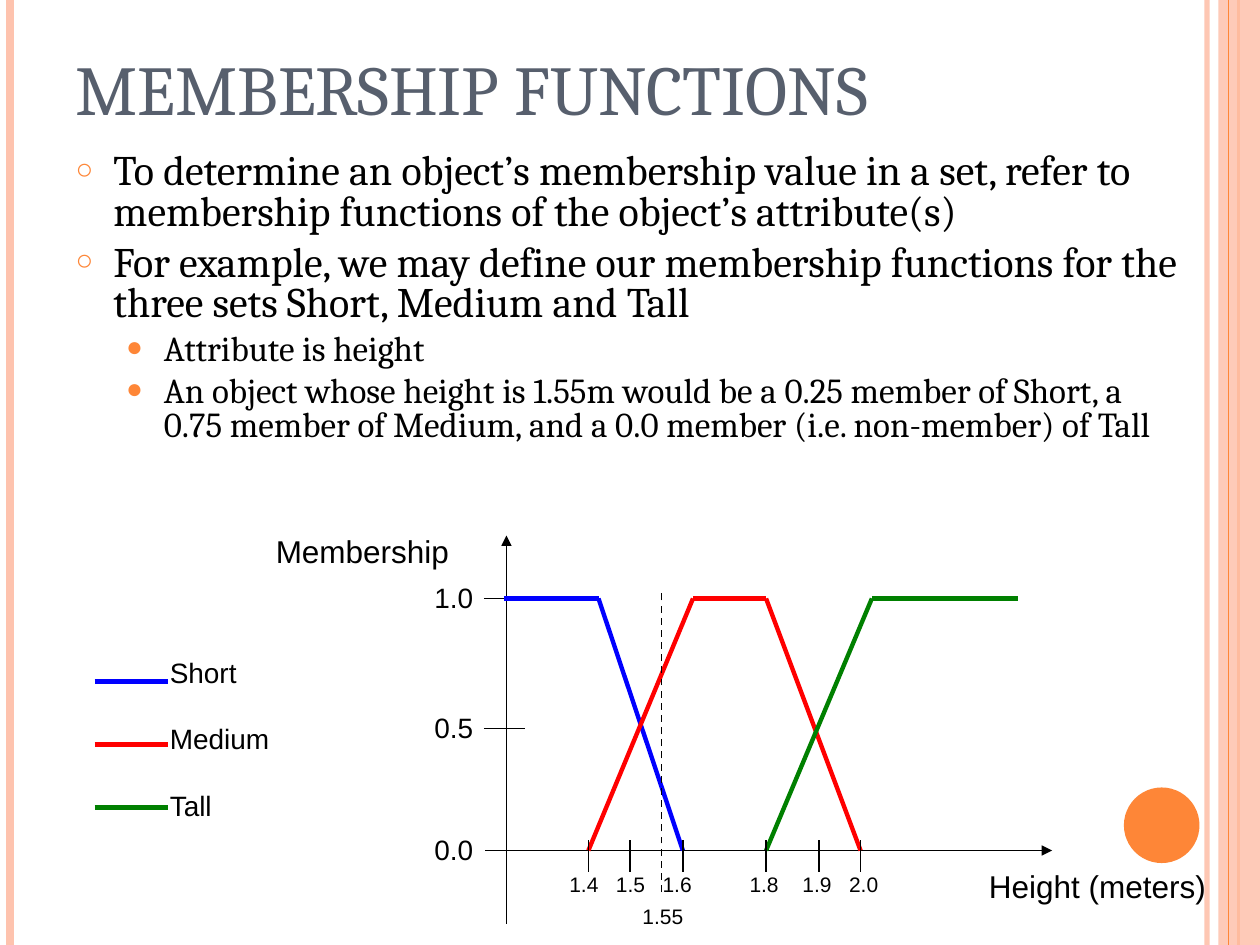
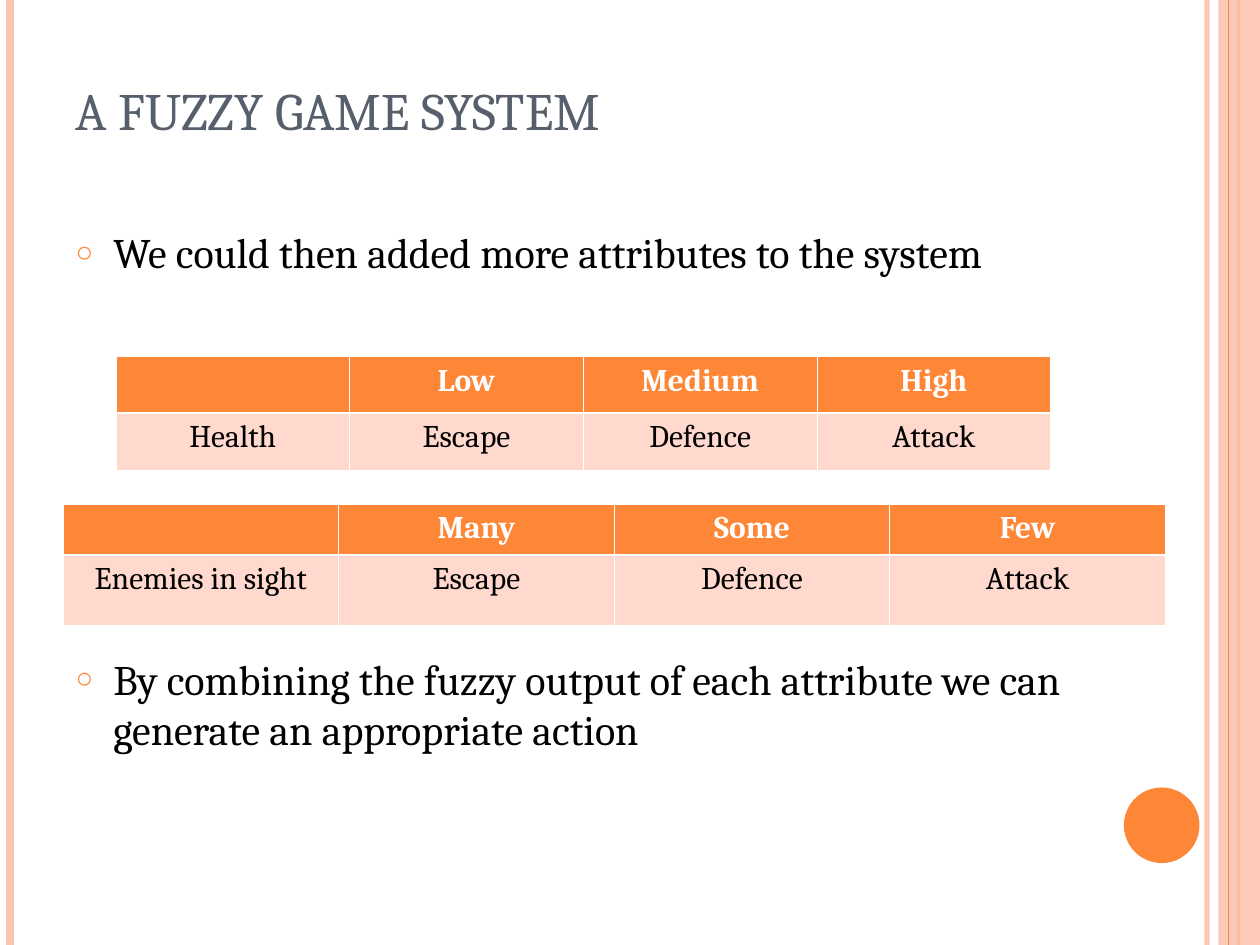
from dataclasses import dataclass
from itertools import pairwise

from lxml.etree import SubElement
from pptx import Presentation
from pptx.dml.color import RGBColor
from pptx.enum.dml import MSO_LINE
from pptx.enum.shapes import MSO_CONNECTOR, MSO_SHAPE
from pptx.enum.text import MSO_ANCHOR, MSO_AUTO_SIZE, PP_ALIGN
from pptx.oxml.ns import qn
from pptx.util import Inches, Pt

COLORS = {
    "title": "575F6D", "text": "000000", "white": "FFFFFF",
    "orange": "FE8637", "peach": "FEC3AE", "pale": "FFD9CE",
    "short": "0000FF", "medium": "FF0000", "tall": "008000",
}
SERIF, SANS = "Cambria", "Arial"
Point = tuple[float, float]


@dataclass(frozen=True)
class Stroke:
    """A straight line: ends in inches, width in points."""
    start: Point
    end: Point
    color: str = "text"
    width: float = 0.75
    arrow: bool = False
    dashed: bool = False
    opacity: int = 100


@dataclass(frozen=True)
class Label:
    """Chart text in a box: inches, size in points."""
    text: str
    left: float
    top: float
    width: float
    height: float = 0.37
    size: int = 16


@dataclass(frozen=True)
class Bullet:
    """A list item; sizes and gaps in points."""
    text: str
    level: int = 0
    gap: float = 6
    spacing: float | None = None


@dataclass(frozen=True)
class RuleTable:
    """A header row and one row of actions."""
    left: float
    top: float
    width: float
    row_heights: tuple[float, float]
    rows: tuple[tuple[str, ...], tuple[str, ...]]


# --- Drawing helpers ---
def rgb(name: str) -> RGBColor:
    return RGBColor.from_string(COLORS[name])


def add_run(paragraph, text: str, size: float, font: str, color: str = "text",
            bold: bool = False) -> None:
    run = paragraph.add_run()
    run.text = text
    run.font.size, run.font.name, run.font.bold = Pt(size), font, bold
    run.font.color.rgb = rgb(color)


def set_opacity(element, percent: int) -> None:
    for color in element.iter(qn("a:srgbClr")):
        SubElement(color, qn("a:alpha"), val=str(percent * 1000))


def place(shape, left: float, top: float, width: float, height: float) -> None:
    shape.left, shape.top = Inches(left), Inches(top)
    shape.width, shape.height = Inches(width), Inches(height)


def draw_stroke(slide, stroke: Stroke):
    ends = [Inches(v) for v in (*stroke.start, *stroke.end)]
    connector = slide.shapes.add_connector(MSO_CONNECTOR.STRAIGHT, *ends)
    connector.line.color.rgb = rgb(stroke.color)
    connector.line.width = Pt(stroke.width)
    if stroke.dashed:
        connector.line.dash_style = MSO_LINE.DASH
    properties = connector.element.find(qn("p:spPr"))
    if stroke.opacity < 100:
        set_opacity(properties, stroke.opacity)
    if stroke.arrow:
        SubElement(properties.find(qn("a:ln")), qn("a:tailEnd"), type="triangle")
    SubElement(properties, qn("a:effectLst"))
    return connector


def draw_solid(slide, preset, box: tuple[float, ...], color: str, opacity: int = 100):
    shape = slide.shapes.add_shape(preset, *(Inches(v) for v in box))
    shape.shadow.inherit = False
    shape.fill.solid()
    shape.fill.fore_color.rgb = rgb(color)
    shape.line.fill.background()
    if opacity < 100:
        set_opacity(shape.element.find(qn("p:spPr")), opacity)
    return shape


def draw_label(slide, label: Label):
    box = slide.shapes.add_textbox(Inches(label.left), Inches(label.top),
                                   Inches(label.width), Inches(label.height))
    box.text_frame.word_wrap = True
    add_run(box.text_frame.paragraphs[0], label.text, label.size, SANS)
    return box.text_frame


def write_title(slide, text: str, size: int, width: float, height: float) -> None:
    title = slide.shapes.title
    place(title, 0.5, 0.3, width, height)
    frame = title.text_frame
    frame.auto_size = MSO_AUTO_SIZE.NONE
    frame.vertical_anchor = MSO_ANCHOR.BOTTOM
    frame.paragraphs[0].alignment = PP_ALIGN.LEFT
    add_run(frame.paragraphs[0], text, size, SERIF, "title")


def write_bullets(slide, bullets: list[Bullet], box: tuple[float, ...]) -> None:
    styles = [("○", 70, 0.3, 24), ("●", 80, 0.7, 20)]
    body = slide.placeholders[1]
    place(body, *box)
    frame = body.text_frame
    frame.auto_size = MSO_AUTO_SIZE.NONE
    for index, bullet in enumerate(bullets):
        paragraph = frame.add_paragraph() if index else frame.paragraphs[0]
        mark, mark_size, margin, size = styles[bullet.level]
        paragraph.level = bullet.level
        paragraph.space_before = Pt(bullet.gap)
        paragraph.line_spacing = bullet.spacing
        add_run(paragraph, bullet.text, size, SERIF)
        props = paragraph._p.get_or_add_pPr()
        props.set("marL", str(Inches(margin)))
        props.set("indent", str(-Inches(0.3)))
        mark_color = SubElement(props, qn("a:buClr"))
        SubElement(mark_color, qn("a:srgbClr"), val=COLORS["orange"])
        SubElement(props, qn("a:buSzPct"), val=str(mark_size * 1000))
        SubElement(props, qn("a:buChar"), char=mark)


def set_borders(cell, top: float, bottom: float) -> None:
    props = cell._tc.get_or_add_tcPr()
    for side, width in (("L", 0.45), ("R", 0.45), ("T", top), ("B", bottom)):
        line = SubElement(props, qn(f"a:ln{side}"), w=str(Pt(width)))
        fill = SubElement(line, qn("a:solidFill"))
        SubElement(fill, qn("a:srgbClr"), val=COLORS["white"])


def draw_rules(slide, rules: RuleTable) -> None:
    columns = len(rules.rows[0])
    table = slide.shapes.add_table(
        len(rules.rows), columns, Inches(rules.left), Inches(rules.top),
        Inches(rules.width), Inches(sum(rules.row_heights))).table
    table.horz_banding = False
    for column in table.columns:
        column.width = Inches(rules.width / columns)
    # Fill, text colour, bold, top and bottom border of each row
    looks = [("orange", "white", True, 0.45, 1.47), ("pale", "text", False, 1.47, 0.45)]
    for r, (fill, color, bold, top, bottom) in enumerate(looks):
        table.rows[r].height = Inches(rules.row_heights[r])
        for c, text in enumerate(rules.rows[r]):
            cell = table.cell(r, c)
            set_borders(cell, top, bottom)
            cell.fill.solid()
            cell.fill.fore_color.rgb = rgb(fill)
            if text:
                paragraph = cell.text_frame.paragraphs[0]
                paragraph.alignment = PP_ALIGN.CENTER
                add_run(paragraph, text, 18, SERIF, color, bold)


# --- Shared frame ---
def move_frame_to_master(prs, slide) -> None:
    """Draw the side bands and the disc, then hand them to the slide master."""
    def band(x: float, color: str, width: float, opacity: int = 100):
        return draw_stroke(slide, Stroke((x, 0), (x, 7.5), color, width, opacity=opacity))

    frame = [
        band(9.58, "peach", 3, 93),
        band(0.08, "peach", 4.5),
        band(9.83, "orange", 1.5),
        draw_solid(slide, MSO_SHAPE.RECTANGLE, (9.67, 0, 0.33, 7.5), "peach", 87),
        band(9.75, "orange", 0.75),
        draw_solid(slide, MSO_SHAPE.OVAL, (8.92, 6.25, 0.6, 0.6), "orange"),
    ]
    for number, part in enumerate(frame, start=100):
        next(part.element.iter(qn("p:cNvPr"))).set("id", str(number))
        prs.slide_master.shapes.element.append(part.element)


# --- Slide 1: membership chart ---
HEIGHT_X = {"1.4": 4.67, "1.5": 5, "1.6": 5.42, "1.8": 6.08, "1.9": 6.5, "2.0": 6.83}
LEVEL_Y = {"0.0": 6.75, "0.5": 5.78, "1.0": 4.75}
FLOOR, FULL = LEVEL_Y["0.0"], LEVEL_Y["1.0"]
CURVES = {
    "short": [(4, FULL), (4.75, FULL), (5.42, FLOOR)],
    "medium": [(4.67, FLOOR), (5.5, FULL), (6.08, FULL), (6.83, FLOOR)],
    "tall": [(6.08, FLOOR), (6.92, FULL), (8.08, FULL)],
}


def draw_membership_chart(slide) -> None:
    axes = [Stroke((3.85, FLOOR), (8.35, FLOOR), arrow=True),
            Stroke((4.02, 7.33), (4.02, 4.25), arrow=True)]
    level_ticks = [Stroke((3.84, LEVEL_Y[level]), (4.17, LEVEL_Y[level]))
                   for level in ("0.5", "1.0")]
    height_ticks = [Stroke((x, 6.67), (x, 6.92)) for x in HEIGHT_X.values()]
    curves = [Stroke(start, end, name, 2.5)
              for name, points in CURVES.items() for start, end in pairwise(points)]
    legend_keys = [Stroke((0.75, 5.41 + 0.5 * i), (1.33, 5.41 + 0.5 * i), name, 2.5)
                   for i, name in enumerate(CURVES)]
    example = Stroke((5.25, 7.08), (5.25, 4.67), width=1, dashed=True)
    for stroke in axes + level_ticks + curves + height_ticks + legend_keys + [example]:
        draw_stroke(slide, stroke)

    # Axis names and values
    for level, y in LEVEL_Y.items():
        draw_label(slide, Label(level, 3.35, y - 0.19, 0.6))
    draw_label(slide, Label("Membership", 2.09, 4.17, 1.75, 0.4, 18))
    draw_label(slide, Label("Height (meters)", 7.75, 6.83, 2.05, 0.4, 18))
    draw_label(slide, Label("1.55", 5, 7.12, 0.65, 0.3, 12))
    heights = draw_label(
        slide, Label("\t".join(HEIGHT_X), 4.42, 6.87, 2.75, 0.3, 12))
    tabs = SubElement(heights.paragraphs[0]._p.get_or_add_pPr(), qn("a:tabLst"))
    for stop in (0.37, 0.74, 1.43, 1.85, 2.22):
        SubElement(tabs, qn("a:tab"), pos=str(Inches(stop)), algn="l")

    # Legend names
    first, *others = (name.title() for name in CURVES)
    legend = draw_label(slide, Label(first, 1.25, 5.15, 1.1, 1.44))
    for name in others:
        paragraph = legend.add_paragraph()
        paragraph.space_before = Pt(19)
        add_run(paragraph, name, 16, SANS)


def build_membership(slide) -> None:
    write_title(slide, "MEMBERSHIP FUNCTIONS", 40, 9, 0.78)
    write_bullets(slide, [
        Bullet("To determine an object’s membership value in a set, refer to "
               "membership functions of the object’s attribute(s)", spacing=0.8),
        Bullet("For example, we may define our membership functions for the "
               "three sets Short, Medium and Tall", spacing=0.8),
        Bullet("Attribute is height", 1, 5, 0.8),
        Bullet("An object whose height is 1.55m would be a 0.25 member of Short, a "
               "0.75 member of Medium, and a 0.0 member (i.e. non-member) of Tall",
               1, 5, 0.8),
    ], (0.5, 1.17, 9, 3))
    draw_membership_chart(slide)


# --- Slide 2: game rules ---
def build_game_system(slide) -> None:
    write_title(slide, "A FUZZY GAME SYSTEM", 30, 8.17, 0.87)
    write_bullets(slide, [
        Bullet("We could then added more attributes to the system"),
        Bullet("By combining the fuzzy output of each attribute we can "
               "generate an appropriate action", gap=215),
    ], (0.5, 1.75, 8.17, 5.33))
    actions = ("Escape", "Defence", "Attack")
    for rules in (
        RuleTable(0.92, 2.83, 7.42, (0.45, 0.45),
                  (("", "Low", "Medium", "High"), ("Health", *actions))),
        RuleTable(0.5, 4, 8.75, (0.4, 0.56),
                  (("", "Many", "Some", "Few"), ("Enemies in sight", *actions))),
    ):
        draw_rules(slide, rules)


def main() -> None:
    prs = Presentation()
    prs.slide_width, prs.slide_height = Inches(10), Inches(7.5)
    title_and_list = prs.slide_layouts[1]
    membership, game_system = (prs.slides.add_slide(title_and_list) for _ in range(2))
    move_frame_to_master(prs, membership)
    build_membership(membership)
    build_game_system(game_system)
    prs.save("out.pptx")


if __name__ == "__main__":
    main()
